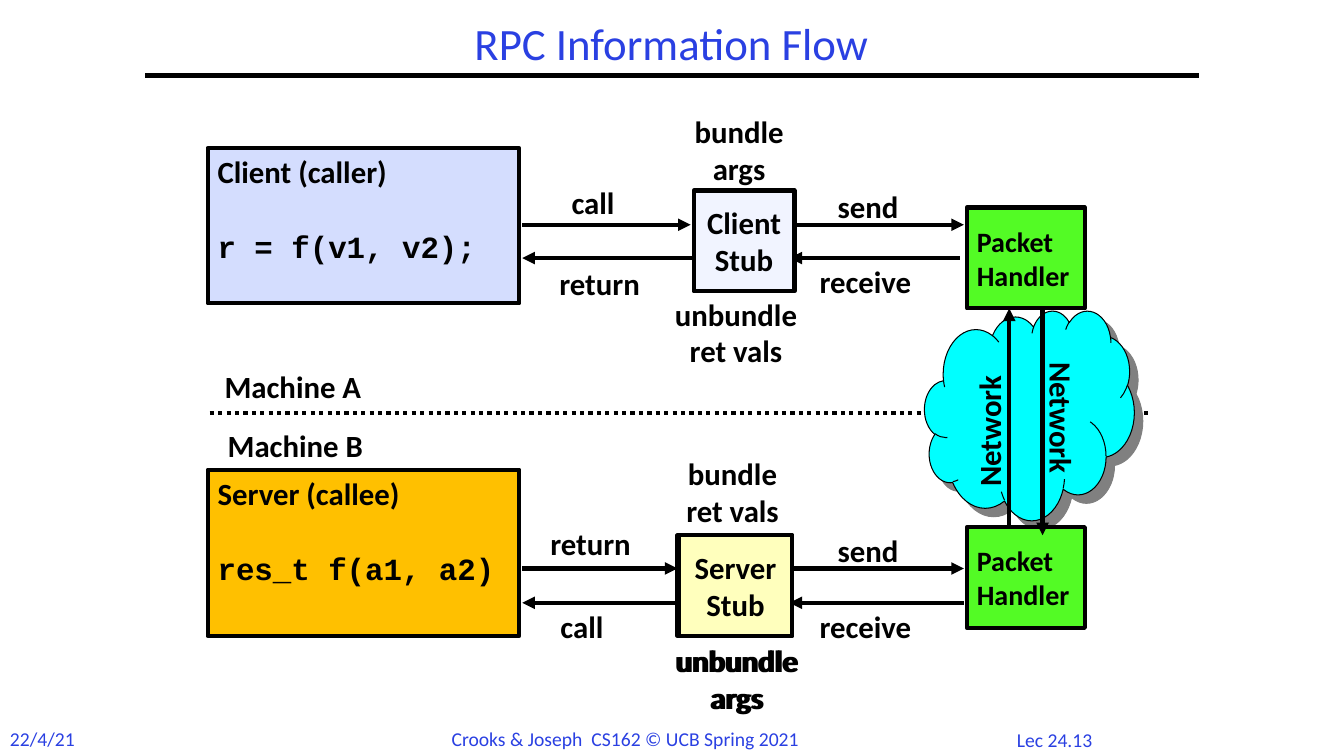
from dataclasses import dataclass

from lxml.etree import SubElement
from pptx import Presentation
from pptx.dml.color import RGBColor
from pptx.enum.dml import MSO_LINE
from pptx.enum.shapes import MSO_CONNECTOR, MSO_SHAPE
from pptx.enum.text import MSO_ANCHOR, PP_ALIGN
from pptx.oxml.ns import qn
from pptx.util import Emu, Pt

PX = 9144  # EMU per px, 100 px to the inch
LEFT, CENTER = PP_ALIGN.LEFT, PP_ALIGN.CENTER


@dataclass(frozen=True)
class Theme:
    ink: str = "000000"
    accent: str = "2A40E2"
    client: str = "D4DDFE"
    client_stub: str = "F1F4FF"
    server: str = "FFC000"
    server_stub: str = "FFFFBD"
    stub_back: str = "CCCCCC"
    handler: str = "53FB25"
    cloud: str = "00FFFF"
    shadow: str = "808080"
    font: str = "Calibri"
    code_font: str = "Courier New"
    title_size: int = 32
    label_size: int = 22
    handler_size: int = 20
    footer_size: int = 14
    line_width: float = 3
    cloud_line_width: float = 0.75


THEME = Theme()
LABEL = {"name": THEME.font, "size": Pt(THEME.label_size), "bold": True}
HANDLER = {**LABEL, "size": Pt(THEME.handler_size)}
CODE = {**LABEL, "name": THEME.code_font}
TITLE = {"name": THEME.font, "size": Pt(THEME.title_size)}
FOOTER = {"name": THEME.font, "size": Pt(THEME.footer_size)}


def rgb(color):
    return RGBColor.from_string(color)


def px(*lengths):
    return [Emu(length * PX) for length in lengths]


def apply_format(target, values):
    for name, value in values.items():
        setattr(target, name, value)


def set_line(line, width=THEME.line_width):
    line.color.rgb = rgb(THEME.ink)
    line.width = Pt(width)


def write(frame, lines, font=LABEL, color=THEME.ink, align=LEFT):
    """Write one paragraph per line of text."""
    for index, line in enumerate(lines):
        paragraph = frame.paragraphs[0] if index == 0 else frame.add_paragraph()
        paragraph.text = line
        paragraph.alignment = align
        apply_format(paragraph.font, font)
        paragraph.font.color.rgb = rgb(color)


def add_text(slide, box, *lines, rotation=0, wrap=False, **style):
    shape = slide.shapes.add_textbox(*px(*box))
    shape.rotation = rotation
    shape.text_frame.word_wrap = wrap
    write(shape.text_frame, lines, **style)
    return shape


def add_panel(slide, box, fill, *lines, kind=MSO_SHAPE.RECTANGLE,
              anchor=MSO_ANCHOR.MIDDLE, width=THEME.line_width, **style):
    shape = slide.shapes.add_shape(kind, *px(*box))
    shape.shadow.inherit = False
    shape.fill.solid()
    shape.fill.fore_color.rgb = rgb(fill)
    set_line(shape.line, width)
    apply_format(shape.text_frame, {"word_wrap": False, "vertical_anchor": anchor})
    write(shape.text_frame, lines, **style)
    return shape


def add_procedure(slide, box, fill, heading, code):
    """A machine's program: a heading with a line of code below it."""
    shape = add_panel(slide, box, fill, heading, code, anchor=MSO_ANCHOR.TOP)
    code_paragraph = shape.text_frame.paragraphs[1]
    code_paragraph.space_before = Pt(27)
    apply_format(code_paragraph.font, CODE)


def add_line(slide, start, end, arrow=False, dash=None):
    connector = slide.shapes.add_connector(MSO_CONNECTOR.STRAIGHT, *px(*start, *end))
    set_line(connector.line)
    if dash:
        connector.line.dash_style = dash
    if arrow:
        SubElement(connector.line._get_or_add_ln(), qn("a:tailEnd"), type="triangle")
    SubElement(connector._element.spPr, qn("a:effectLst"))


def add_cloud(slide, box):
    cloud = add_panel(slide, box, THEME.cloud, kind=MSO_SHAPE.CLOUD,
                      width=THEME.cloud_line_width)
    effects = cloud._element.spPr.find(qn("a:effectLst"))
    shadow = SubElement(effects, qn("a:outerShdw"), dist=str(Pt(8.5)),
                        dir="2700000", algn="ctr", rotWithShape="0")
    SubElement(shadow, qn("a:srgbClr"), val=THEME.shadow)


def add_messages(slide):
    # Start x, end x, y of each arrow, then its label and label box
    messages = [
        (518, 685, 223, "call", (557, 177, 68, 47)),
        (710, 518, 256, "return", (545, 258, 113, 47)),
        (783, 956, 223, "send", (821, 181, 86, 47)),
        (952, 783, 256, "receive", (803, 256, 123, 47)),
        (518, 672, 564, "return", (536, 516, 113, 47)),
        (710, 518, 598, "call", (546, 598, 69, 47)),
        (783, 956, 564, "send", (821, 523, 86, 47)),
        (956, 783, 598, "receive", (803, 598, 123, 47)),
    ]
    for start, end, y, label, box in messages:
        add_line(slide, (start, y), (end, y), arrow=True)
        add_text(slide, box, label)


def add_network(slide):
    add_cloud(slide, (917, 308, 208, 208))
    for top in (206, 523):
        add_panel(slide, (959, top, 117, 100), THEME.handler,
                  "Packet", "Handler", font=HANDLER)
    for x, start, end, box, rotation in [
        (1034, 306, 531, (979, 400, 148, 47), 90),
        (1001, 523, 306, (907, 395, 148, 47), 270),
    ]:
        add_text(slide, box, "Network", rotation=rotation)
        add_line(slide, (x, start), (x, end), arrow=True)


def add_stubs(slide):
    # The server stub has a second layer just behind it
    for left, note_left, fill in [(672, 653, THEME.stub_back),
                                  (673, 655, THEME.server_stub)]:
        add_panel(slide, (left, 531, 113, 100), fill, "Server", "Stub", align=CENTER)
        add_text(slide, (note_left, 632, 154, 84), "unbundle", "args", align=CENTER)
    add_panel(slide, (688, 189, 100, 100), THEME.client_stub,
              "Client", "Stub", align=CENTER)
    for box, lines in [
        ((674, 107, 118, 84), ("bundle", "args")),
        ((653, 288, 154, 84), ("unbundle", "ret vals")),
        ((664, 446, 125, 84), ("bundle", "ret vals")),
    ]:
        add_text(slide, box, *lines, align=CENTER)


def main():
    presentation = Presentation()
    presentation.slide_width, presentation.slide_height = px(1333, 750)
    slide = presentation.slides.add_slide(presentation.slide_layouts[6])

    # Title and footer
    title = add_text(slide, (144, 17, 1044, 58), "RPC Information Flow", wrap=True,
                     font=TITLE, color=THEME.accent, align=CENTER)
    title.text_frame.vertical_anchor = MSO_ANCHOR.MIDDLE
    title.text_frame.paragraphs[0].line_spacing = 0.9
    add_line(slide, (144, 75), (1189, 75))
    for box, text, align in [
        ((0, 716, 85, 34), "22/4/21", LEFT),
        ((438, 716, 368, 34), "Crooks & Joseph  CS162 © UCB Spring 2021", LEFT),
        ((992, 717, 108, 33), "Lec 24.13", CENTER),
    ]:
        add_text(slide, box, text, font=FOOTER, color=THEME.accent, align=align)

    # The two machines and the border between them
    add_procedure(slide, (206, 147, 309, 154), THEME.client,
                  "Client (caller)", "r = f(v1, v2);")
    add_procedure(slide, (206, 466, 309, 165), THEME.server,
                  "Server (callee)", "res_t f(a1, a2)")
    add_line(slide, (208, 410), (1142, 410), dash=MSO_LINE.ROUND_DOT)
    add_text(slide, (213, 360, 170, 47), "Machine A")
    add_text(slide, (216, 418, 171, 47), "Machine B")

    # Message flow
    add_messages(slide)
    add_network(slide)
    add_stubs(slide)

    presentation.save("out.pptx")


if __name__ == "__main__":
    main()
